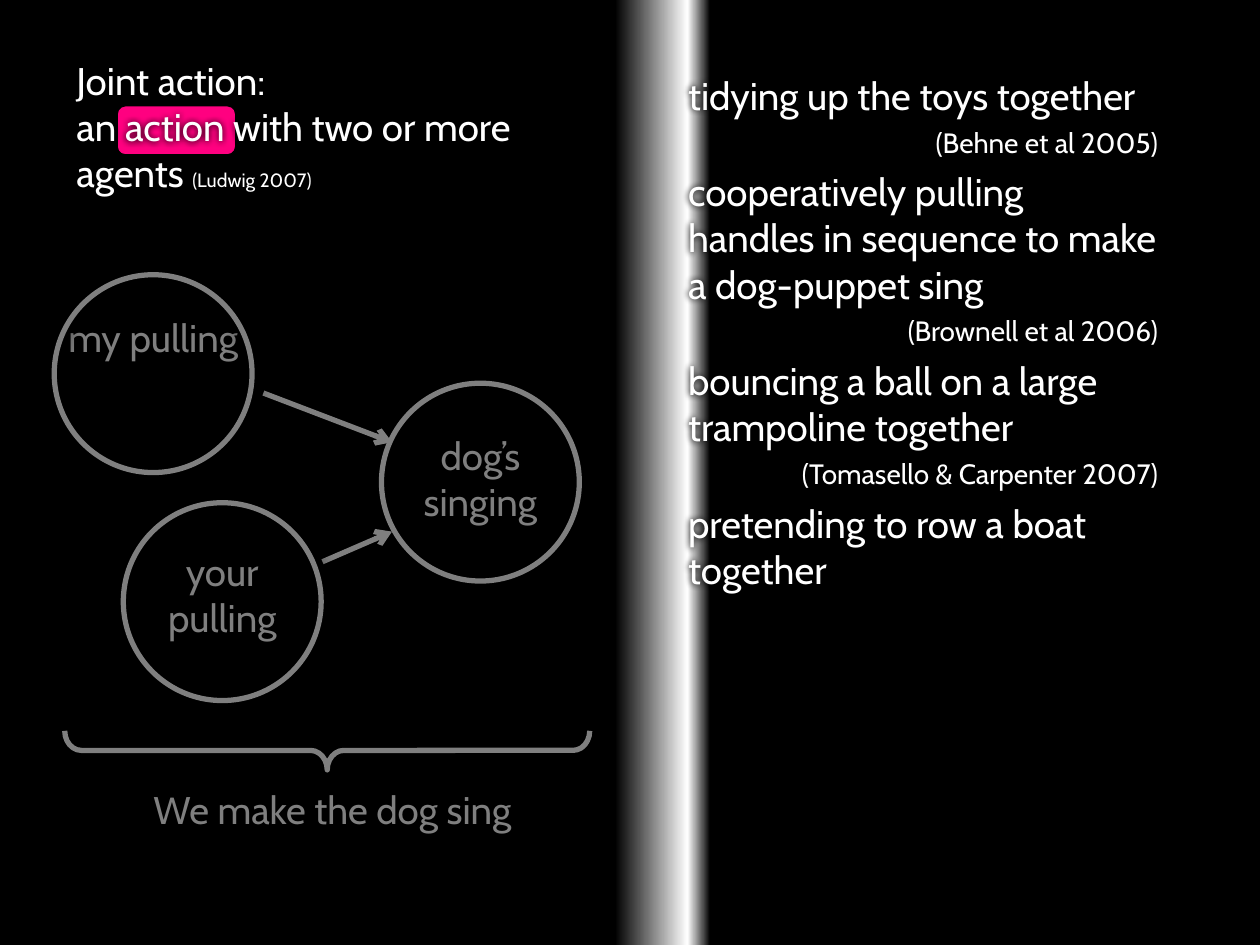
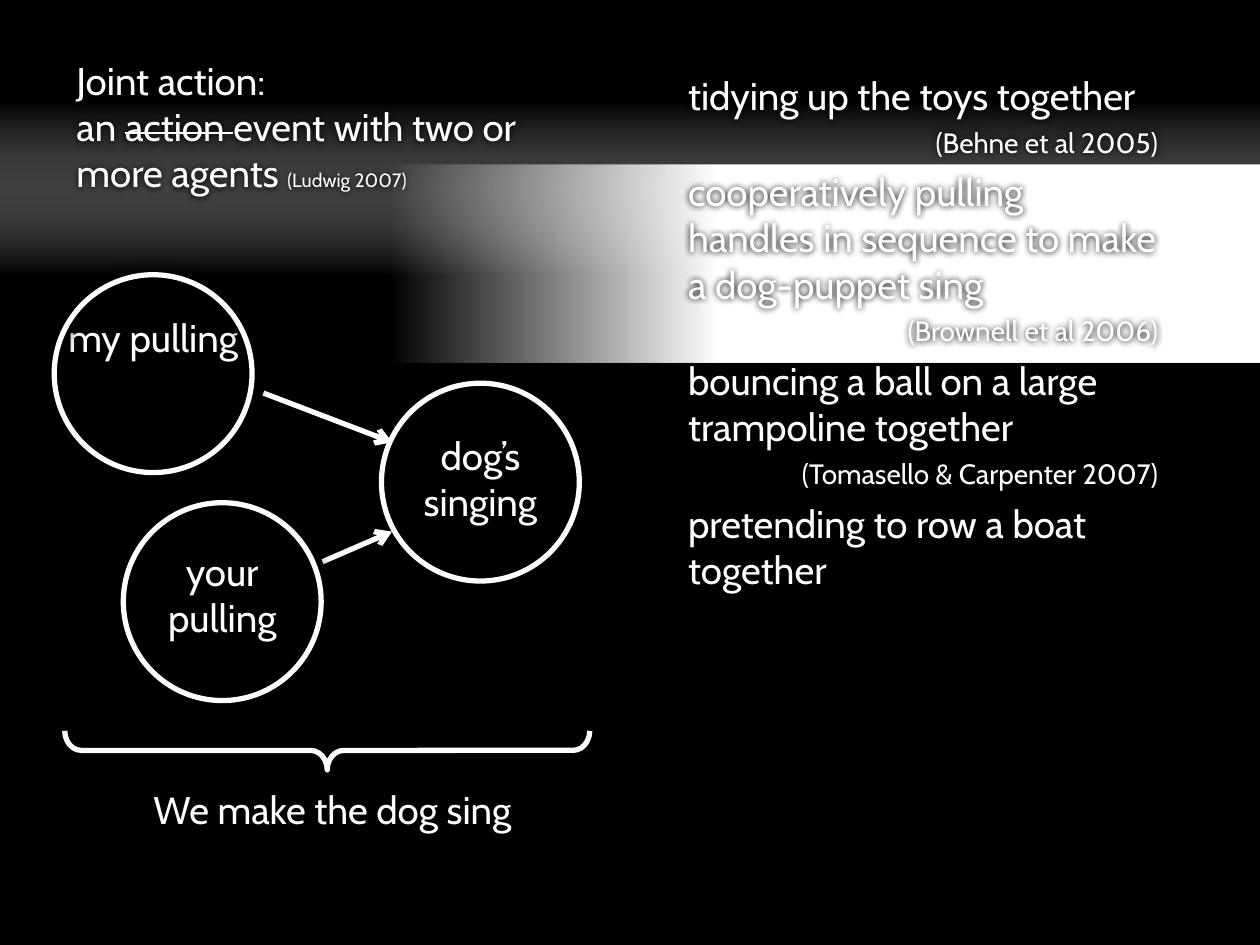
from lxml.etree import SubElement
from pptx import Presentation
from pptx.dml.color import RGBColor
from pptx.enum.shapes import MSO_CONNECTOR, MSO_SHAPE
from pptx.enum.text import MSO_ANCHOR, MSO_AUTO_SIZE, PP_ALIGN
from pptx.oxml.ns import qn
from pptx.util import Pt

BLACK = RGBColor(0x00, 0x00, 0x00)
WHITE = RGBColor(0xFF, 0xFF, 0xFF)
PINK = RGBColor(0xFF, 0x00, 0x80)
FONT = "Cabin"
TEXT_SIZE = 22
CITATION_SIZE = 16
SMALL_SIZE = 11
TEXT_BLUR = 4
SHAPE_BLUR = 10
CIRCLE_SIZE = 113.04

PAGE_BOX = (0, 0, 720, 540)
TITLE_BOX = (36.5, 28.8, 284, 100)
LIST_BOX = (386, 37.5, 283, 313)
DIAGRAM_BOX = (31, 157, 300, 320)

EXAMPLES = [
    ("tidying up the toys together", "(Behne et al 2005)"),
    ("cooperatively pulling handles in sequence to make a dog-puppet sing",
     "(Brownell et al 2006)"),
    ("bouncing a ball on a large trampoline together",
     "(Tomasello & Carpenter 2007)"),
    ("pretending to row a boat together", None),
]


def add_halo(shape, blur):
    """Surround the shape, or its text when it is unfilled, with a soft black shadow."""
    shape.shadow.inherit = False
    effects = shape.element.spPr.find(qn("a:effectLst"))
    halo = SubElement(effects, qn("a:outerShdw"), blurRad=str(Pt(blur)),
                      dist="0", dir="0", algn="ctr", rotWithShape="0")
    SubElement(halo, qn("a:srgbClr"), val=str(BLACK))


def add_shape(page, kind, box, fill=None, line=None, line_width=0.75):
    shape = page.shapes.add_shape(kind, *(Pt(length) for length in box))
    shape.shadow.inherit = False
    if fill is None:
        shape.fill.background()
    else:
        shape.fill.solid()
        shape.fill.fore_color.rgb = fill
    if line is None:
        shape.line.fill.background()
    else:
        shape.line.color.rgb = line
        shape.line.width = Pt(line_width)
    return shape


def add_gradient_band(page, box, stops, angle=0):
    """Stops are (percent, colour, opacity percent)."""
    band = add_shape(page, MSO_SHAPE.RECTANGLE, box)
    band.fill.gradient()
    band.fill.gradient_angle = angle
    stop_list = band.element.spPr.find(".//" + qn("a:gsLst"))
    for old_stop in list(stop_list):
        stop_list.remove(old_stop)
    for percent, colour, opacity in stops:
        stop = SubElement(stop_list, qn("a:gs"), pos=str(percent * 1000))
        tint = SubElement(stop, qn("a:srgbClr"), val=str(colour))
        SubElement(tint, qn("a:alpha"), val=str(opacity * 1000))


def format_paragraph(para, size=TEXT_SIZE, align=PP_ALIGN.LEFT, space_before=0):
    para.alignment = align
    para.line_spacing = 1.0
    para.space_before = Pt(space_before)
    para.font.name = FONT
    para.font.size = Pt(size)
    para.font.color.rgb = WHITE


def prepare_text(shape):
    shape.fill.background()
    add_halo(shape, TEXT_BLUR)
    frame = shape.text_frame
    frame.word_wrap = True
    frame.auto_size = MSO_AUTO_SIZE.NONE
    frame.vertical_anchor = MSO_ANCHOR.TOP
    return frame


def place_placeholder(placeholder, box):
    """Move the placeholder to the box, in front of everything drawn so far."""
    placeholder.left, placeholder.top, placeholder.width, placeholder.height = (
        Pt(length) for length in box)
    placeholder.element.getparent().append(placeholder.element)
    return prepare_text(placeholder)


def add_definition(page, box, definition):
    """Fill the title; definition is a list of (text, struck out)."""
    frame = place_placeholder(page.shapes.title, box)
    frame.text = "Joint action:"
    format_paragraph(frame.paragraphs[0])
    para = frame.add_paragraph()
    format_paragraph(para)
    for text, struck in definition:
        span = para.add_run()
        span.text = text
        if struck:
            span.font._element.set("strike", "sngStrike")
    citation = para.add_run()
    citation.text = "(Ludwig 2007)"
    citation.font.size = Pt(SMALL_SIZE)


def add_examples(page, box):
    frame = place_placeholder(page.placeholders[1], box)
    lines = []
    for example, citation in EXAMPLES:
        lines.append((example, TEXT_SIZE, PP_ALIGN.LEFT))
        if citation:
            lines.append((citation, CITATION_SIZE, PP_ALIGN.RIGHT))
    for index, (text, size, align) in enumerate(lines):
        para = frame.add_paragraph() if index else frame.paragraphs[0]
        para.text = text
        properties = para._p.get_or_add_pPr()
        properties.set("marL", "0")
        properties.set("indent", "0")
        SubElement(properties, qn("a:buNone"))
        format_paragraph(para, size, align, size / 4 if index else 0)


def add_label(page, box, text):
    label = page.shapes.add_textbox(*(Pt(length) for length in box))
    para = prepare_text(label).paragraphs[0]
    para.text = text
    format_paragraph(para, align=PP_ALIGN.CENTER)


def add_circle(page, left, top):
    circle = add_shape(page, MSO_SHAPE.OVAL, (left, top, CIRCLE_SIZE, CIRCLE_SIZE),
                       line=WHITE, line_width=3)
    add_halo(circle, SHAPE_BLUR)


def add_arrow(page, *ends):
    arrow = page.shapes.add_connector(MSO_CONNECTOR.STRAIGHT,
                                      *(Pt(length) for length in ends))
    arrow.line.color.rgb = WHITE
    arrow.line.width = Pt(3)
    SubElement(arrow.line._get_or_add_ln(), qn("a:tailEnd"), type="arrow")
    SubElement(arrow.element.spPr, qn("a:effectLst"))


def add_diagram(page, box):
    """Two pullings lead to the singing, and a brace joins all three."""
    left, top, width, height = box
    dog_left, dog_top = left + 187, top + 62
    your_left, your_top = left + 39.5, top + 130.3

    add_label(page, (dog_left, dog_top + 24.4, CIRCLE_SIZE, 60), "dog’s singing")
    add_circle(page, dog_left, dog_top)
    add_arrow(page, left + 119.5, top + 67.6, left + 193, top + 95.7)
    add_arrow(page, left + 153.3, top + 164, left + 193, top + 146.8)

    brace_depth, brace_span = 22.3, 300
    brace = add_shape(page, MSO_SHAPE.LEFT_BRACE,
                      (left + (width + 12 - brace_depth) / 2,
                       top + 271.8 - brace_span / 2, brace_depth, brace_span),
                      line=WHITE, line_width=3)
    brace.rotation = 270
    brace.adjustments[0] = 0.425
    add_label(page, (left + 34.5, top + height - 31.3, 249, 34), "We make the dog sing")

    add_label(page, (left, top + 18.7, CIRCLE_SIZE, 60), "my pulling")
    add_label(page, (your_left, your_top + 22.3, CIRCLE_SIZE, 60), "your pulling")
    add_circle(page, left, top)
    add_circle(page, your_left, your_top)


def add_veil(page, box):
    veil = add_shape(page, MSO_SHAPE.RECTANGLE, box, BLACK, BLACK)
    tint = veil.element.spPr.find(qn("a:solidFill")).find(qn("a:srgbClr"))
    SubElement(tint, qn("a:alpha"), val="50000")


def build_action_page(page):
    add_shape(page, MSO_SHAPE.ROUNDED_RECTANGLE, (67, 60.5, 67.7, 28), PINK, BLACK)
    add_definition(page, TITLE_BOX, [("an action with two or more agents ", False)])
    add_diagram(page, DIAGRAM_BOX)
    add_veil(page, (0, 134, 360, 374.4))
    add_gradient_band(page, (320.4, 0, 85, PAGE_BOX[3]),
                      [(37, WHITE, 0), (85, WHITE, 100), (100, WHITE, 0)])
    add_examples(page, LIST_BOX)


def build_event_page(page):
    page_width = PAGE_BOX[2]
    add_gradient_band(page, (0, 57.6, page_width, 99.4),
                      [(0, BLACK, 0), (1, BLACK, 100), (100, WHITE, 0)], angle=270)
    add_definition(page, TITLE_BOX, [
        ("an ", False), ("action ", True), ("event with two or more agents ", False)])
    add_gradient_band(page, (0, 94.3, page_width, 113),
                      [(31, WHITE, 0), (57, WHITE, 100), (100, WHITE, 100)])
    add_examples(page, LIST_BOX)
    add_diagram(page, DIAGRAM_BOX)


def main():
    deck = Presentation()
    deck.slide_width, deck.slide_height = Pt(PAGE_BOX[2]), Pt(PAGE_BOX[3])
    backdrop = deck.slide_master.background.fill
    backdrop.solid()
    backdrop.fore_color.rgb = BLACK
    for build_page in (build_action_page, build_event_page):
        build_page(deck.slides.add_slide(deck.slide_layouts[1]))
    deck.save("out.pptx")


if __name__ == "__main__":
    main()
